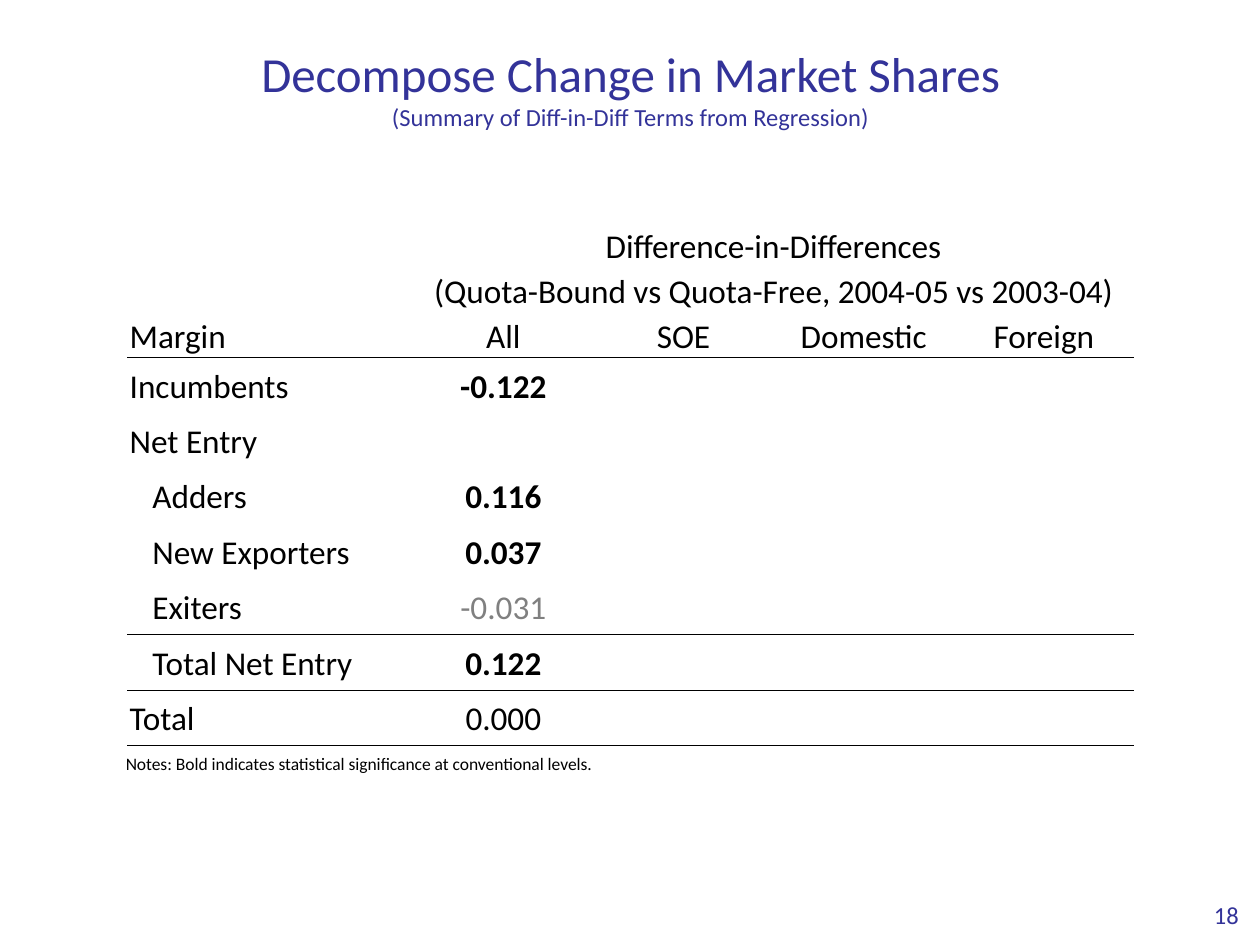
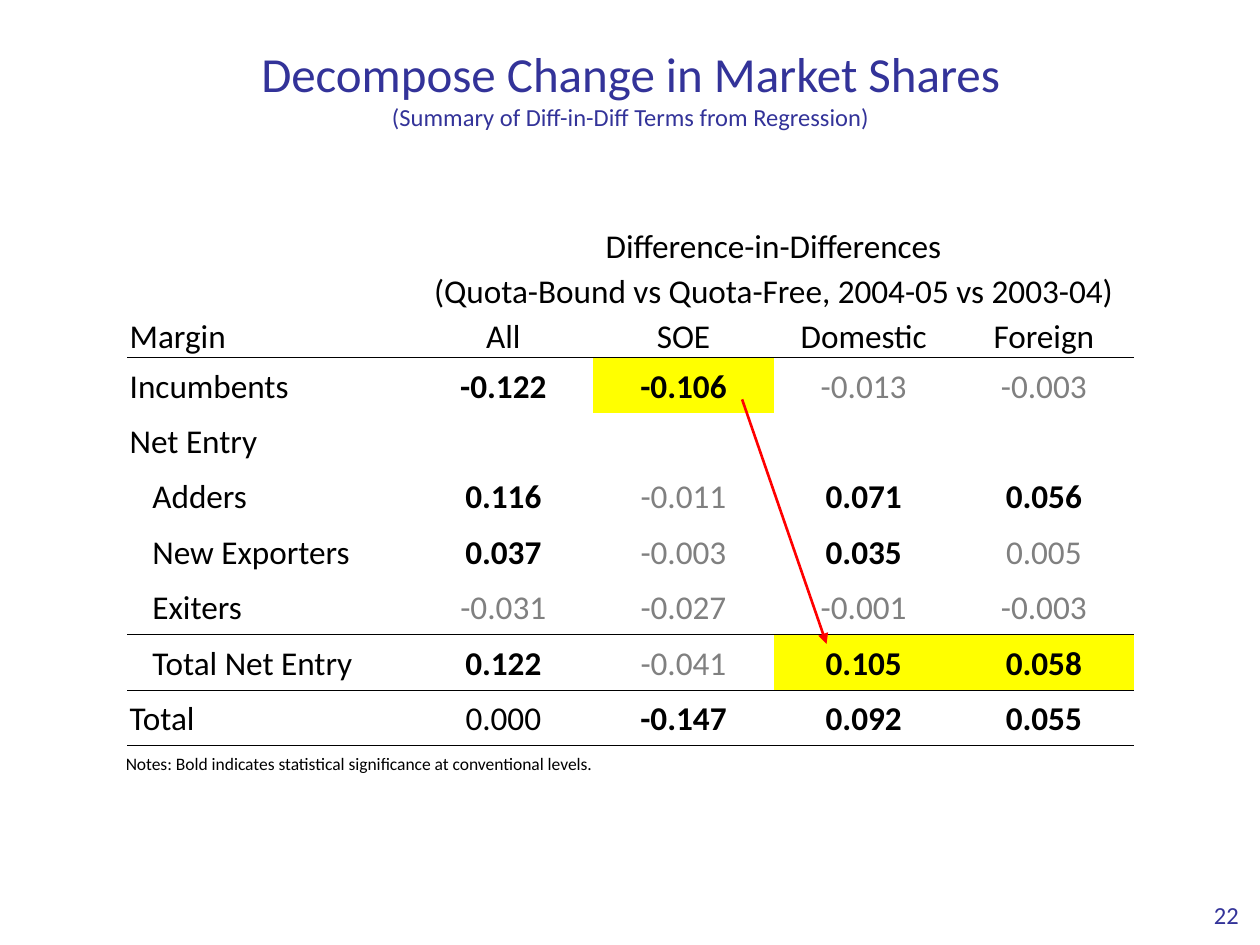
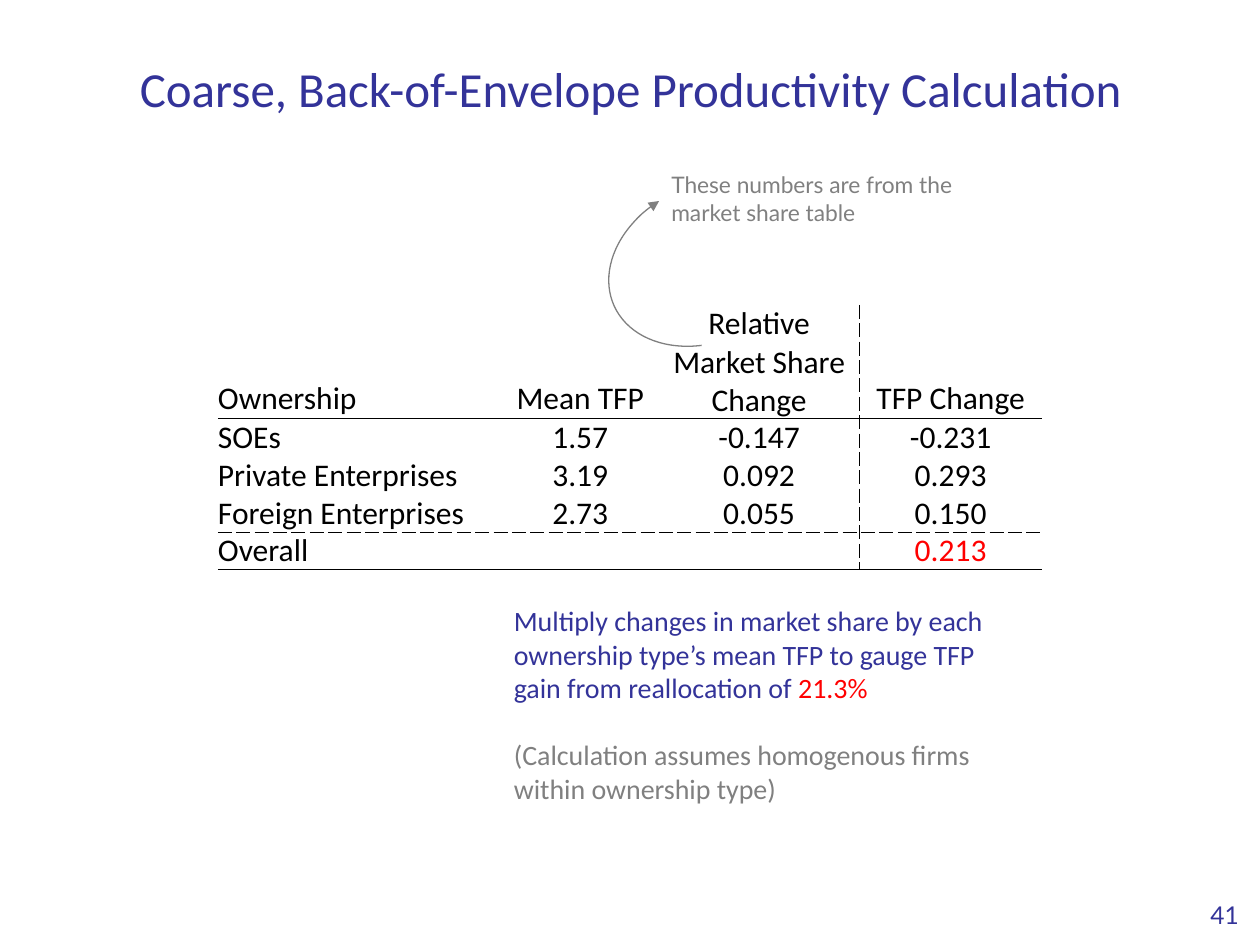
"""Builds three slides on market shares and productivity."""
from lxml import etree
from pptx import Presentation
from pptx import util as u
from pptx.dml.color import RGBColor
from pptx.enum import shapes, text
from pptx.oxml import ns

HUES = {"blue": "333399", "black": "000000", "gray": "808080", "red": "FF0000",
        "yellow": "FFFF00", "white": "FFFFFF"}
RGB = {name: RGBColor.from_string(code) for name, code in HUES.items()}
PLAIN = "{2D5ABB26-0587-4C30-8999-92F81FD0307C}"
MARKS = {"*": ("black", True), "+": ("black", True), "~": ("gray", False), "!": ("red", False)}


def say(frame, words, size=14, hue="black", bold=False, face="Calibri", side="LEFT",
        anchor="TOP", new=False, gap=0):
    frame.word_wrap = True
    frame.vertical_anchor = text.MSO_ANCHOR[anchor]
    para = frame.add_paragraph() if new else frame.paragraphs[-1]
    para.alignment = text.PP_ALIGN[side]
    para.space_before = u.Pt(gap)
    run = para.add_run()
    run.text = words
    font = run.font
    font.size, font.bold, font.name = u.Pt(size), bold, face
    font.color.rgb = RGB[hue]


def rule(cell, edge, dash):
    line = etree.SubElement(cell._tc.get_or_add_tcPr(), ns.qn("a:ln" + edge), w="6350")
    fill = etree.SubElement(line, ns.qn("a:solidFill"))
    etree.SubElement(fill, ns.qn("a:srgbClr"), val=HUES["black"])
    etree.SubElement(line, ns.qn("a:prstDash"), val=dash)


shares = [
    ["", "Difference-in-Differences", "", "", ""],
    ["", "(Quota-Bound vs Quota-Free, 2004-05 vs 2003-04)", "", "", ""],
    ["Margin", "All", "SOE", "Domestic", "Foreign"],
    ["Incumbents", "*-0.122", "+-0.106", "~-0.013", "~-0.003"],
    ["Net Entry", "", "", "", ""],
    [">Adders", "*0.116", "~-0.011", "*0.071", "*0.056"],
    [">New Exporters", "*0.037", "~-0.003", "*0.035", "~0.005"],
    [">Exiters", "~-0.031", "~-0.027", "~-0.001", "~-0.003"],
    [">Total Net Entry", "*0.122", "~-0.041", "+0.105", "+0.058"],
    ["Total", "0.000", "*-0.147", "*0.092", "*0.055"],
]
first = [row if r < 3 else row[:2] + [""] * 3 for r, row in enumerate(shares)]
gains = [
    ["Ownership", "Mean TFP", "Relative Market Share Change", "TFP Change"],
    ["SOEs", "1.57", "-0.147", "-0.231"],
    ["Private Enterprises", "3.19", "0.092", "0.293"],
    ["Foreign Enterprises", "2.73", "0.055", "0.150"],
    ["Overall", "", "", "!0.213"],
]
wide = dict(left=1.01, top=1.76, cols=[2.27] + [1.43] * 4, rows=[0.36] * 3 + [0.44] * 7,
            size=19, pad=0.02, low=3, span=2, under={2: "solid", 7: "solid", 8: "solid", 9: "solid"},
            split=None)
small = dict(left=1.73, top=2.42, cols=[2.25, 1.25, 1.59, 1.45], rows=[0.6] + [0.3] * 4,
             size=18, pad=0, low=5, span=0, under={0: "solid", 3: "dash", 4: "solid"}, split=2)
share = "Decompose Change in Market Shares"
basis = "(Summary of Diff-in-Diff Terms from Regression)"
plans = [
    ("18", "Calibri", share, basis, first, wide),
    ("22", "Calibri", share, basis, shares, wide),
    ("41", "Lato", "Coarse, Back-of-Envelope Productivity Calculation", "", gains, small),
]

deck = Presentation()
deck.slide_width, deck.slide_height = u.Inches(10), u.Inches(7.5)
slides = []
for page, face, head, sub, data, form in plans:
    slide = deck.slides.add_slide(deck.slide_layouts[6])
    slides.append(slide)
    frame = slide.shapes.add_textbox(u.Inches(9.39), u.Inches(6.86), u.Inches(0.54), u.Inches(0.52)).text_frame
    frame.margin_top = u.Inches(0.28)
    say(frame, page, hue="blue", face=face, side="RIGHT")
    frame = slide.shapes.add_textbox(u.Inches(0.39), u.Inches(0.3), u.Inches(9.23), u.Inches(0.79)).text_frame
    say(frame, head, size=28, hue="blue", side="CENTER", anchor="MIDDLE")
    if sub:
        say(frame, sub, hue="blue", side="CENTER", anchor="MIDDLE", new=True)

    table = slide.shapes.add_table(
        len(data), len(data[0]), u.Inches(form["left"]), u.Inches(form["top"]),
        u.Inches(sum(form["cols"])), u.Inches(sum(form["rows"]))).table
    table.first_row = table.horz_banding = False
    table._tbl.tblPr.find(ns.qn("a:tableStyleId")).text = PLAIN
    for c, width in enumerate(form["cols"]):
        table.columns[c].width = u.Inches(width)
    for r, height in enumerate(form["rows"]):
        table.rows[r].height = u.Inches(height)
        for c, words in enumerate(data[r]):
            cell = table.cell(r, c)
            mark = words[:1]
            hue, bold = MARKS.get(mark, ("black", False))
            cell.margin_left = u.Inches(0.2 if mark == ">" else form["pad"])
            cell.margin_right = cell.margin_top = u.Inches(form["pad"])
            cell.margin_bottom = 0
            cell.vertical_anchor = text.MSO_ANCHOR.BOTTOM if r < form["low"] else text.MSO_ANCHOR.MIDDLE
            if c == form["split"]:
                rule(cell, "R", "dash")
            if r in form["under"]:
                rule(cell, "B", form["under"][r])
            if mark == "+":
                cell.fill.solid()
                cell.fill.fore_color.rgb = RGB["yellow"]
            else:
                cell.fill.background()
            if words:
                say(cell.text_frame, words.lstrip("*+~!>"), size=form["size"], hue=hue, bold=bold,
                    side="CENTER" if c else "LEFT")
    for r in range(form["span"]):
        table.cell(r, 1).merge(table.cell(r, 4))

for slide in slides[:2]:
    frame = slide.shapes.add_textbox(u.Inches(0.9), u.Inches(5.93), u.Inches(7.7), u.Inches(0.27)).text_frame
    say(frame, "Notes: Bold indicates statistical significance at conventional levels.", size=10)

arrow = slides[1].shapes.add_connector(
    shapes.MSO_CONNECTOR.STRAIGHT, u.Inches(5.89), u.Inches(3.17), u.Inches(6.56), u.Inches(5.11))
etree.SubElement(arrow._element.spPr, ns.qn("a:effectLst"))

last = slides[2].shapes
frame = last.add_textbox(u.Inches(3.98), u.Inches(4.74), u.Inches(4.21), u.Inches(1.72)).text_frame
say(frame, "Multiply changes in market share by each ownership type’s mean TFP to gauge TFP gain "
    "from reallocation of ", size=16, hue="blue")
say(frame, "21.3%", size=16, hue="red")
say(frame, "(Calculation assumes homogenous firms within ownership type)", size=16, hue="gray",
    new=True, gap=19)

label = last.add_shape(shapes.MSO_SHAPE.RECTANGLE, u.Inches(5.23), u.Inches(1.31), u.Inches(2.43), u.Inches(0.54))
label.shadow.inherit = False
label.fill.solid()
label.fill.fore_color.rgb = RGB["white"]
label.line.fill.background()
say(label.text_frame, "These numbers are from the market share table", size=13, hue="gray", face="Lato")

arc = last.add_shape(shapes.MSO_SHAPE.ARC, u.Inches(4.8), u.Inches(1.47), u.Inches(1.63), u.Inches(1.24))
arc.shadow.inherit = False
arc.fill.background()
arc.rotation = 155.3
arc.adjustments[0], arc.adjustments[1] = 179.32, 46.08

for shape, hue, width in [(arrow, "red", 1.5), (arc, "gray", 0.75)]:
    shape.line.color.rgb = RGB[hue]
    shape.line.width = u.Pt(width)
    etree.SubElement(shape.line._get_or_add_ln(), ns.qn("a:tailEnd"), type="triangle")

deck.save("out.pptx")
